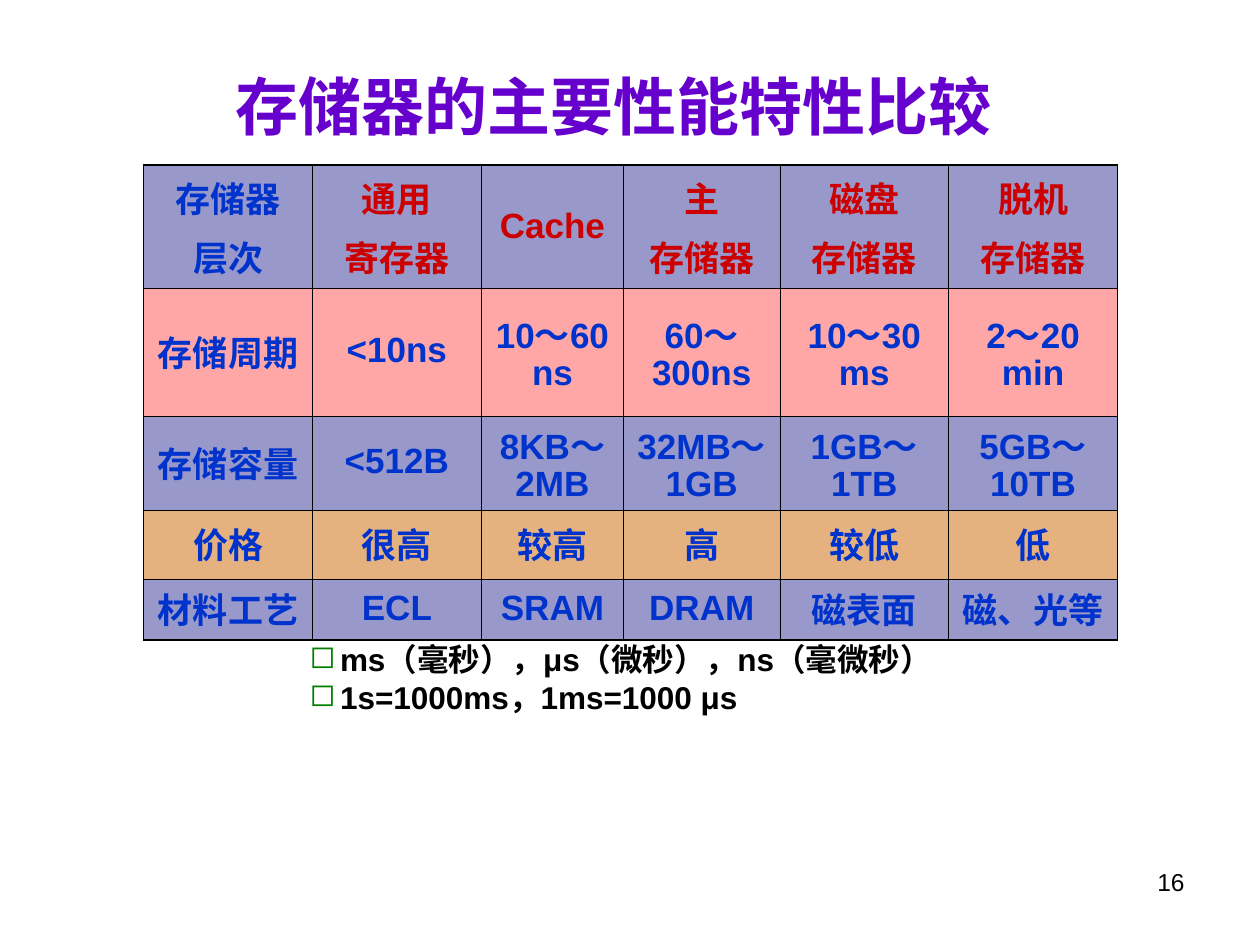
"""Build the slide comparing the main properties of memory types."""
from lxml import etree
from pptx import Presentation
from pptx.dml.color import RGBColor
from pptx.enum.text import MSO_ANCHOR, PP_ALIGN
from pptx.oxml.ns import qn
from pptx.util import Inches, Pt

MIDDLE = MSO_ANCHOR.MIDDLE
CENTER, RIGHT = PP_ALIGN.CENTER, PP_ALIGN.RIGHT
HAN = "Noto Sans CJK SC"
BLUE, RED, BLACK = "0033CC", "CC0000", "000000"
HEAD, ROSE, SAND = "333399", "FF5050", "CC6600"


def style(para, size, color, bold=True, face="Arial"):
    for run in para.runs:
        font = run.font
        font.size, font.bold, font.name = Pt(size), bold, face
        font.color.rgb = RGBColor.from_string(color)
        etree.SubElement(run._r.get_or_add_rPr(), qn("a:ea"), typeface=HAN)


def paint(cell, color, widths):
    cell.fill.solid()
    cell.fill.fore_color.rgb = RGBColor.from_string(color)
    props = cell._tc.get_or_add_tcPr()
    tint = props.find(".//" + qn("a:srgbClr"))
    etree.SubElement(tint, qn("a:alpha"), val="50000")
    for spot, (side, width) in enumerate(zip("LRTB", widths)):
        line = etree.Element(qn("a:ln" + side), w=str(Pt(width)))
        solid = etree.SubElement(line, qn("a:solidFill"))
        etree.SubElement(solid, qn("a:srgbClr"), val=BLACK)
        props.insert(spot, line)


prs = Presentation()
prs.slide_width, prs.slide_height = Inches(10), Inches(7.5)
slide = prs.slides.add_slide(prs.slide_layouts[5])

title = slide.shapes.title
title.left, title.top = Inches(1.38), Inches(0.52)
title.width, title.height = Inches(7.09), Inches(0.63)
frame = title.text_frame
frame.text = "存储器的主要性能特性比较 "
frame.vertical_anchor = MIDDLE
frame.paragraphs[0].alignment = CENTER
style(frame.paragraphs[0], 36, "6600CC", face=HAN)

rows = [
    (0.84, HEAD, ["存储器\n层次", "通用\n寄存器", "Cache", "主\n存储器", "磁盘\n存储器", "脱机\n存储器"]),
    (1, ROSE, ["存储周期", "<10ns", "10～60\nns", "60～300ns", "10～30\nms", "2～20\nmin"]),
    (0.71, HEAD, ["存储容量", "<512B", "8KB～2MB", "32MB～1GB", "1GB～1TB", "5GB～10TB"]),
    (0.55, SAND, ["价格", "很高", "较高", "高", "较低", "低"]),
    (0.48, HEAD, ["材料工艺", "ECL", "SRAM", "DRAM", "磁表面", "磁、光等"]),
]
cols = [1.34, 1.34, 1.13, 1.24, 1.34, 1.34]
table = slide.shapes.add_table(
    len(rows), len(cols), Inches(1.14), Inches(1.31), Inches(7.74), Inches(3.59)
).table
table.first_row = table.horz_banding = False
for col, width in zip(table.columns, cols):
    col.width = Inches(width)

for i, (height, fill, texts) in enumerate(rows):
    table.rows[i].height = Inches(height)
    for j, text in enumerate(texts):
        cell = table.cell(i, j)
        cell.text_frame.text = text
        cell.vertical_anchor = MIDDLE
        for para in cell.text_frame.paragraphs:
            para.alignment = CENTER
            if i == 0:
                para.space_after = Pt(5)
            else:
                para.line_spacing = 0.9
            if i in (0, 3, 4) or j < 2:
                props = para._p.get_or_add_pPr()
                props.set("marL", str(Inches(0.38)))
                props.set("indent", str(Inches(-0.38)))
            style(para, 20, RED if i == 0 and j else BLUE)
        left = 0.34 if j == 0 else 0.45
        right = 0.34 if j == len(cols) - 1 else 0.45
        top = 0.96 if i == 0 else 0.45
        base = 0.96 if i == len(rows) - 1 else 0.45
        paint(cell, fill, (left, right, top, base))

notes = slide.shapes.add_textbox(Inches(2.36), Inches(5.03), Inches(5.42), Inches(0.7))
frame = notes.text_frame
frame.word_wrap = True
frame.text = "ms（毫秒），μs（微秒），ns（毫微秒）\n1s=1000ms，1ms=1000 μs"
for para in frame.paragraphs:
    props = para._p.get_or_add_pPr()
    props.set("marL", str(Inches(0.24)))
    props.set("indent", str(Inches(-0.24)))
    tint = etree.SubElement(props, qn("a:buClr"))
    etree.SubElement(tint, qn("a:srgbClr"), val="008000")
    etree.SubElement(props, qn("a:buChar"), char="◻")
    style(para, 18, BLACK)

page = slide.shapes.add_textbox(Inches(7.17), Inches(6.83), Inches(2.33), Inches(0.52))
frame = page.text_frame
frame.word_wrap = True
frame.text = "16"
frame.paragraphs[0].alignment = RIGHT
style(frame.paragraphs[0], 14, BLACK, bold=False)

prs.save("out.pptx")
